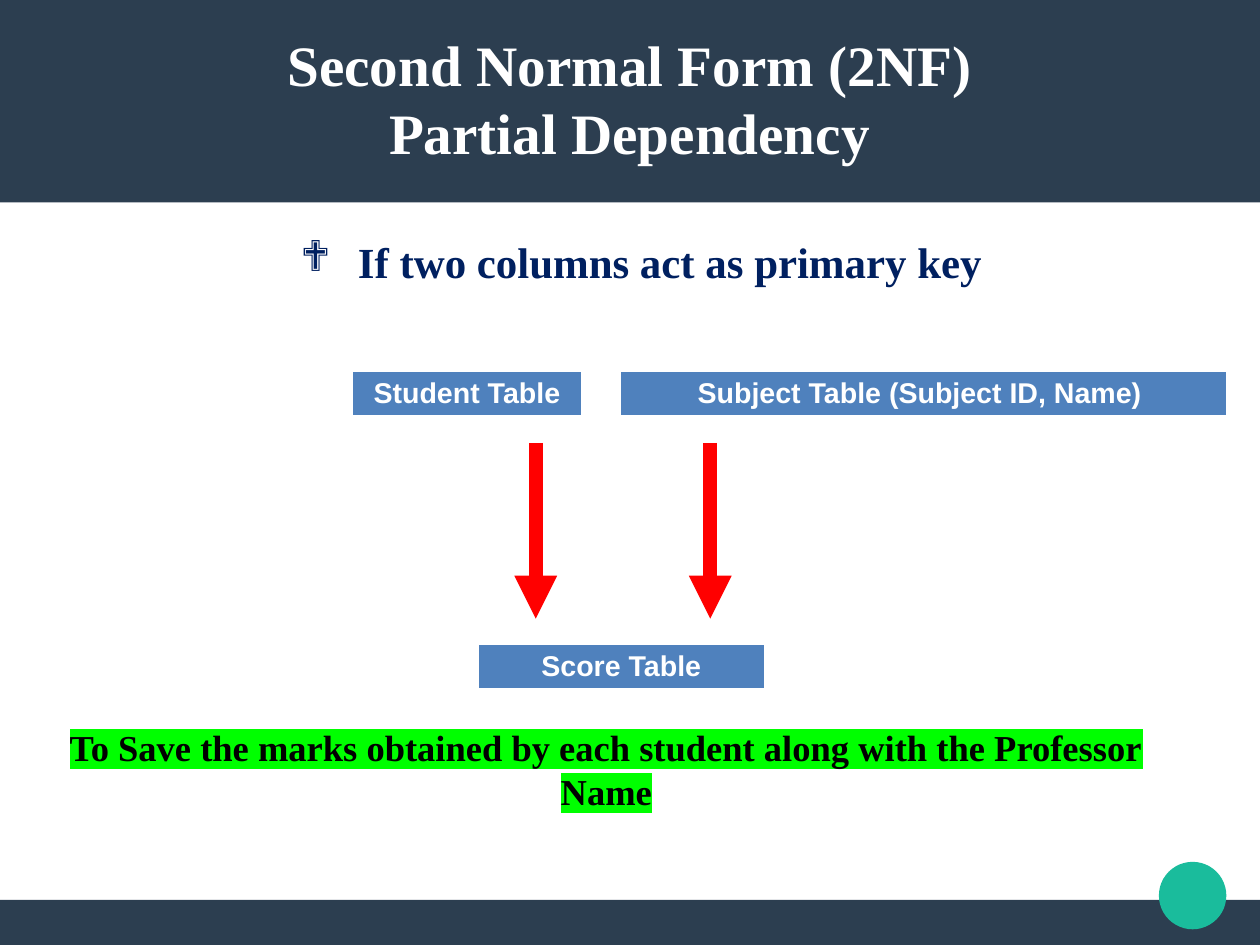
"""Builds a slide on partial dependency in second normal form."""
from lxml import etree
from pptx import Presentation
from pptx.dml.color import RGBColor
from pptx.enum.shapes import MSO_CONNECTOR, MSO_SHAPE
from pptx.enum.text import MSO_ANCHOR, PP_ALIGN
from pptx.oxml.ns import qn
from pptx.util import Pt

RECTANGLE, OVAL = MSO_SHAPE.RECTANGLE, MSO_SHAPE.OVAL
STRAIGHT = MSO_CONNECTOR.STRAIGHT
CENTER = PP_ALIGN.CENTER
TOP, MIDDLE = MSO_ANCHOR.TOP, MSO_ANCHOR.MIDDLE
SERIF, SANS = "Times New Roman", "Arial"
WIDTH, HEIGHT = 793.7, 595.28


def color(value):
    return RGBColor.from_string(value)


def write(frame, text, size, ink, font=SERIF, bullet=None, highlight=None):
    """Fill a text frame with centred bold paragraphs, one per line of text."""
    frame.word_wrap = True
    for index, line in enumerate(text.split("\n")):
        para = frame.paragraphs[0] if index == 0 else frame.add_paragraph()
        para.alignment = CENTER
        if bullet:
            properties = para._p.get_or_add_pPr()
            properties.set("marL", str(Pt(36)))
            properties.set("indent", str(-Pt(36)))
            etree.SubElement(properties, qn("a:buFont")).set("typeface", "Wingdings")
            etree.SubElement(properties, qn("a:buChar")).set("char", bullet)
        span = para.add_run()
        span.text = line
        span.font.size = Pt(size)
        span.font.bold = True
        span.font.color.rgb = color(ink)
        span.font.name = font
        if highlight:
            marker = etree.Element(qn("a:highlight"))
            etree.SubElement(marker, qn("a:srgbClr")).set("val", highlight)
            span.font._element.find(qn("a:solidFill")).addnext(marker)


deck = Presentation()
deck.slide_width, deck.slide_height = Pt(WIDTH), Pt(HEIGHT)
page = deck.slides.add_slide(deck.slide_layouts[6])

decorations = [
    (RECTANGLE, 0, 566.9, WIDTH, HEIGHT - 566.9, "2C3E50"),
    (RECTANGLE, 0, 0, WIDTH, 127.5, "2C3E50"),
    (OVAL, 730, 542.9, 42.5, 42.5, "1ABC9C"),
]
for kind, left, top, width, height, fill in decorations:
    shape = page.shapes.add_shape(kind, Pt(left), Pt(top), Pt(width), Pt(height))
    shape.shadow.inherit = False
    shape.fill.solid()
    shape.fill.fore_color.rgb = color(fill)
    shape.line.fill.background()

title = page.shapes.add_textbox(Pt(28.3), Pt(23.8), Pt(736.6), Pt(75.6)).text_frame
title.margin_left = title.margin_top = title.margin_right = title.margin_bottom = 0
title.vertical_anchor = MIDDLE
write(title, "Second Normal Form (2NF)\nPartial Dependency", 36, "FFFFFF")

condition = page.shapes.add_textbox(Pt(28.1), Pt(144.7), Pt(751.7), Pt(40.3)).text_frame
condition.vertical_anchor = TOP
write(condition, "If two columns act as primary key", 27, "002060", bullet="❖")

tables = [
    ("Student Table", 221.8, 234, 144.7),
    ("Score Table", 301, 406, 180.7),
    ("Subject Table (Subject ID, Name) ", 391, 234, 381.6),
]
for name, left, top, width in tables:
    table = page.shapes.add_table(1, 1, Pt(left), Pt(top), Pt(width), Pt(29)).table
    cell = table.cell(0, 0)
    write(cell.text_frame, name, 18, "FFFFFF", font=SANS)
    borders = cell._tc.get_or_add_tcPr()
    for side, weight in (("L", 1), ("R", 1), ("T", 1), ("B", 3)):
        border = etree.SubElement(borders, qn(f"a:ln{side}"), w=str(Pt(weight)))
        paint = etree.SubElement(border, qn("a:solidFill"))
        etree.SubElement(paint, qn("a:srgbClr")).set("val", "FFFFFF")
    cell.fill.solid()
    cell.fill.fore_color.rgb = color("4F81BD")

for x in (337.5, 447.4):
    arrow = page.shapes.add_connector(STRAIGHT, Pt(x), Pt(279), Pt(x), Pt(389.7))
    arrow.line.color.rgb = color("FF0000")
    arrow.line.width = Pt(9)
    etree.SubElement(arrow.line._get_or_add_ln(), qn("a:tailEnd")).set("type", "triangle")
    etree.SubElement(arrow._element.spPr, qn("a:effectLst"))

purpose = page.shapes.add_textbox(Pt(13.7), Pt(453), Pt(736.6), Pt(63.4)).text_frame
purpose.vertical_anchor = TOP
write(purpose, "To Save the marks obtained by each student along with the Professor Name",
      23, "000000", highlight="00FF00")

deck.save("out.pptx")
